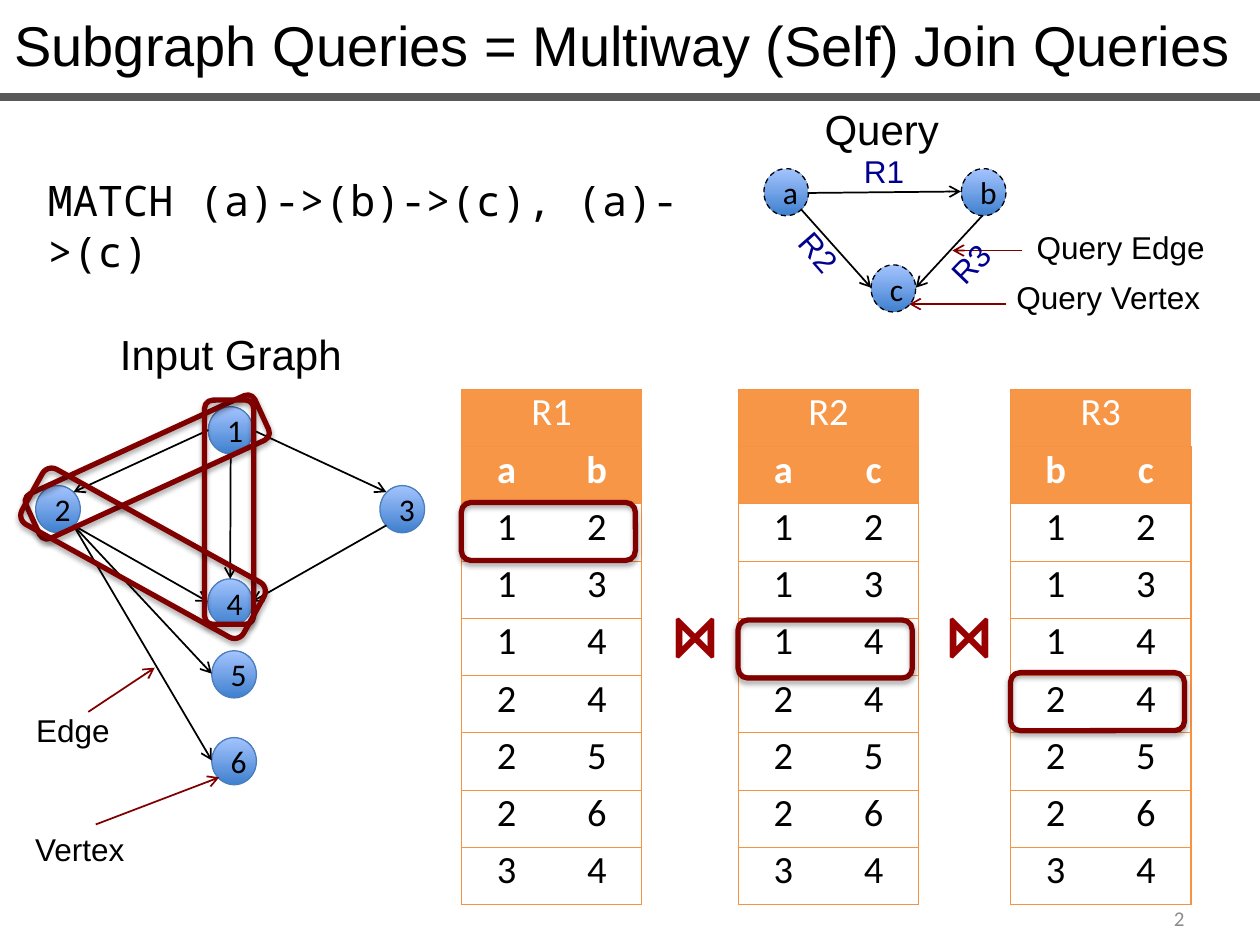
from lxml.etree import SubElement
from pptx import Presentation
from pptx.dml.color import RGBColor
from pptx.enum.dml import MSO_LINE
from pptx.enum.shapes import MSO_CONNECTOR, MSO_SHAPE
from pptx.enum.text import MSO_ANCHOR, MSO_AUTO_SIZE, PP_ALIGN
from pptx.oxml import parse_xml
from pptx.oxml.ns import nsdecls, qn
from pptx.util import Cm, Pt

BLACK, MAROON, ORANGE = "000000", "800000", "F79646"
LEFT, CENTER, RIGHT = PP_ALIGN.LEFT, PP_ALIGN.CENTER, PP_ALIGN.RIGHT


def color(value):
    return RGBColor.from_string(value)


def write(frame, text, size, font, ink=BLACK, align=CENTER, bold=False):
    para = frame.paragraphs[0]
    para.alignment = align
    span = para.add_run()
    span.text = text
    span.font.size = Pt(size)
    span.font.name = font
    span.font.bold = bold
    span.font.color.rgb = color(ink)


deck = Presentation()
deck.slide_width, deck.slide_height = Cm(25.4), Cm(19.05)
page = deck.slides.add_slide(deck.slide_layouts[6])
shapes = page.shapes
graph = shapes.add_group_shape().shapes

# Nodes of the query (dashed outline) and of the input graph
query_nodes = [("a", 15.4, 3.4), ("b", 19.38, 3.4), ("c", 17.56, 5.34)]
graph_nodes = [("1", 4.2, 8.2), ("2", 0.72, 9.79), ("3", 7.66, 9.79),
               ("4", 4.19, 11.67), ("5", 4.27, 13.12), ("6", 4.27, 14.87)]
for target, nodes, outline in [(shapes, query_nodes, BLACK),
                               (graph, graph_nodes, "4B7EBC")]:
    for name, left, top in nodes:
        node = target.add_shape(MSO_SHAPE.OVAL, Cm(left), Cm(top), Cm(0.9), Cm(0.95))
        node.shadow.inherit = False
        node.fill.gradient()
        node.fill.gradient_angle = 90
        for stop, position, shade in zip(node.fill.gradient_stops, (0, 1),
                                         ("3F80CE", "A4C4FF")):
            stop.position = position
            stop.color.rgb = color(shade)
        node.line.color.rgb = color(outline)
        node.line.width = Pt(0.75)
        if target is shapes:
            node.line.dash_style = MSO_LINE.DASH
        node.text_frame.vertical_anchor = MSO_ANCHOR.MIDDLE
        write(node.text_frame, name, 18, "Calibri")

# Title rule, edges and callout arrows
rule = [(0, 1.96, 25.4, 1.96)]
query_edges = [(16.28, 3.89, 19.37, 3.86), (16.15, 4.22, 17.56, 5.8),
               (19.81, 4.34, 18.46, 5.8)]
graph_edges = [(4.2, 8.67, 1.48, 9.92), (5.1, 8.67, 7.79, 9.92),
               (4.65, 9.15, 4.64, 11.67), (7.79, 10.59, 5.08, 12.13),
               (1.48, 10.59, 4.19, 12.13), (1.48, 10.59, 4.27, 13.58),
               (1.48, 10.59, 4.27, 15.33)]
callouts = [(20.6, 5.05, 19.2, 5.05), (20.27, 6.13, 18.33, 6.13),
            (1.78, 14.35, 3.12, 13.46), (1.93, 16.62, 4.42, 15.67)]
for target, lines, ink, width in [(shapes, rule, "595959", 4.5),
                                  (shapes, query_edges, BLACK, 1),
                                  (graph, graph_edges, BLACK, 1),
                                  (shapes, callouts, MAROON, 1)]:
    for ends in lines:
        line = target.add_connector(MSO_CONNECTOR.STRAIGHT, *map(Cm, ends))
        line.line.color.rgb = color(ink)
        line.line.width = Pt(width)
        if lines is not rule:
            SubElement(line.line._get_or_add_ln(), qn("a:tailEnd"), type="arrow")
        SubElement(line._element.spPr, qn("a:effectLst"))

# Title, headings and labels
labels = [
    ("Subgraph Queries = Multiway (Self) Join Queries",
     0.04, 0.08, 25.25, 1.63, 32, "Arial", BLACK, LEFT, 0),
    ("MATCH (a)->(b)->(c), (a)->(c)",
     0.71, 3.4, 14.38, 1.27, 24, "Noto Sans Mono", BLACK, LEFT, 0),
    ("Query", 16.15, 1.96, 3.25, 1.27, 24, "Arial", BLACK, CENTER, 0),
    ("Input Graph", 1.3, 6.5, 6.71, 1.27, 24, "Arial", BLACK, CENTER, 0),
    ("R1", 16.78, 2.95, 2.08, 1.02, 18, "Arial", "000090", CENTER, 0),
    ("R2", 15.47, 4.57, 2.08, 1.02, 18, "Arial", "000090", CENTER, 48.8),
    ("R3", 18.52, 4.8, 2.08, 1.02, 18, "Arial", "000090", CENTER, 313.8),
    ("Query Edge", 20.65, 4.47, 4.24, 1.02, 18, "Arial", BLACK, LEFT, 0),
    ("Query Vertex", 20.24, 5.49, 4.67, 1.02, 18, "Arial", BLACK, LEFT, 0),
    ("Edge", 0.48, 14.2, 2.21, 1.02, 18, "Arial", BLACK, LEFT, 0),
    ("Vertex", 0.46, 16.61, 2.95, 1.02, 18, "Arial", BLACK, LEFT, 0),
]
for text, left, top, width, height, size, font, ink, align, angle in labels:
    box = shapes.add_textbox(Cm(left), Cm(top), Cm(width), Cm(height))
    box.rotation = angle
    box.text_frame.word_wrap = True
    box.text_frame.auto_size = MSO_AUTO_SIZE.SHAPE_TO_FIT_TEXT
    write(box.text_frame, text, size, font, ink, align)

# Slide number
number = shapes.add_textbox(Cm(18.21), Cm(18), Cm(5.92), Cm(1.02))
number.text_frame.word_wrap = True
number.text_frame.vertical_anchor = MSO_ANCHOR.MIDDLE
write(number.text_frame, "2", 12, "Calibri", "8C8C8C", RIGHT)

# Join signs
for left in (13.06, 18.57):
    sign = shapes.add_textbox(Cm(left), Cm(11.81), Cm(1.93), Cm(1.96))
    sign.text_frame.word_wrap = False
    write(sign.text_frame, "⋈", 40, "Courier New", "990000", bold=True)

# Relation tables: the same edge list under three headings
edge_rows = ["12", "13", "14", "24", "25", "26", "34"]
for title, columns, left in [("R1", "ab", 9.3), ("R2", "ac", 14.88), ("R3", "bc", 20.37)]:
    rows = [[title, ""], columns, *edge_rows]
    table = shapes.add_table(len(rows), 2, Cm(left), Cm(7.85), Cm(3.64), Cm(10.39)).table
    # Table style without grid or banding
    table._tbl.tblPr.find(qn("a:tableStyleId")).text = "{2D5ABB26-0587-4C30-8999-92F81FD0307C}"
    table.cell(0, 0).merge(table.cell(0, 1))
    for row, values in enumerate(rows):
        for column, value in enumerate(values):
            cell = table.cell(row, column)
            cell.margin_top = cell.margin_bottom = 0
            if row < 2:
                cell.fill.solid()
                cell.fill.fore_color.rgb = color(ORANGE)
            else:
                cell.fill.background()
            if value:
                write(cell.text_frame, value, 22, "Calibri",
                      "FFFFFF" if row < 2 else BLACK, bold=row == 1)
            sides = ("lnL" if column == 0 else "lnR", "lnT", "lnB")
            for place, side in enumerate(sides):
                cell._tc.get_or_add_tcPr().insert(place, parse_xml(
                    f'<a:{side} {nsdecls("a")} w="9525"><a:solidFill>'
                    f'<a:srgbClr val="F69240"/></a:solidFill></a:{side}>'))

# Frames around the matching rows and the matching edges
frames = [
    (9.3, 10.13, 3.51, 1.17, 0), (14.88, 12.5, 3.51, 1.17, 0),
    (20.37, 13.56, 3.51, 1.17, 0), (0.43, 8.92, 5.08, 0.99, 335.4),
    (2.36, 9.83, 4.52, 0.99, 270), (0.33, 10.52, 5.11, 1.27, 29),
]
for left, top, width, height, angle in frames:
    frame = shapes.add_shape(MSO_SHAPE.ROUNDED_RECTANGLE,
                             Cm(left), Cm(top), Cm(width), Cm(height))
    frame.rotation = angle
    frame.fill.background()
    frame.line.color.rgb = color(MAROON)
    frame.line.width = Pt(3)
    frame._element.spPr.append(parse_xml(
        f'<a:effectLst {nsdecls("a")}><a:outerShdw blurRad="40000" dist="23000" '
        'dir="5400000" rotWithShape="0"><a:srgbClr val="000000">'
        '<a:alpha val="35000"/></a:srgbClr></a:outerShdw></a:effectLst>'))

deck.save("out.pptx")
